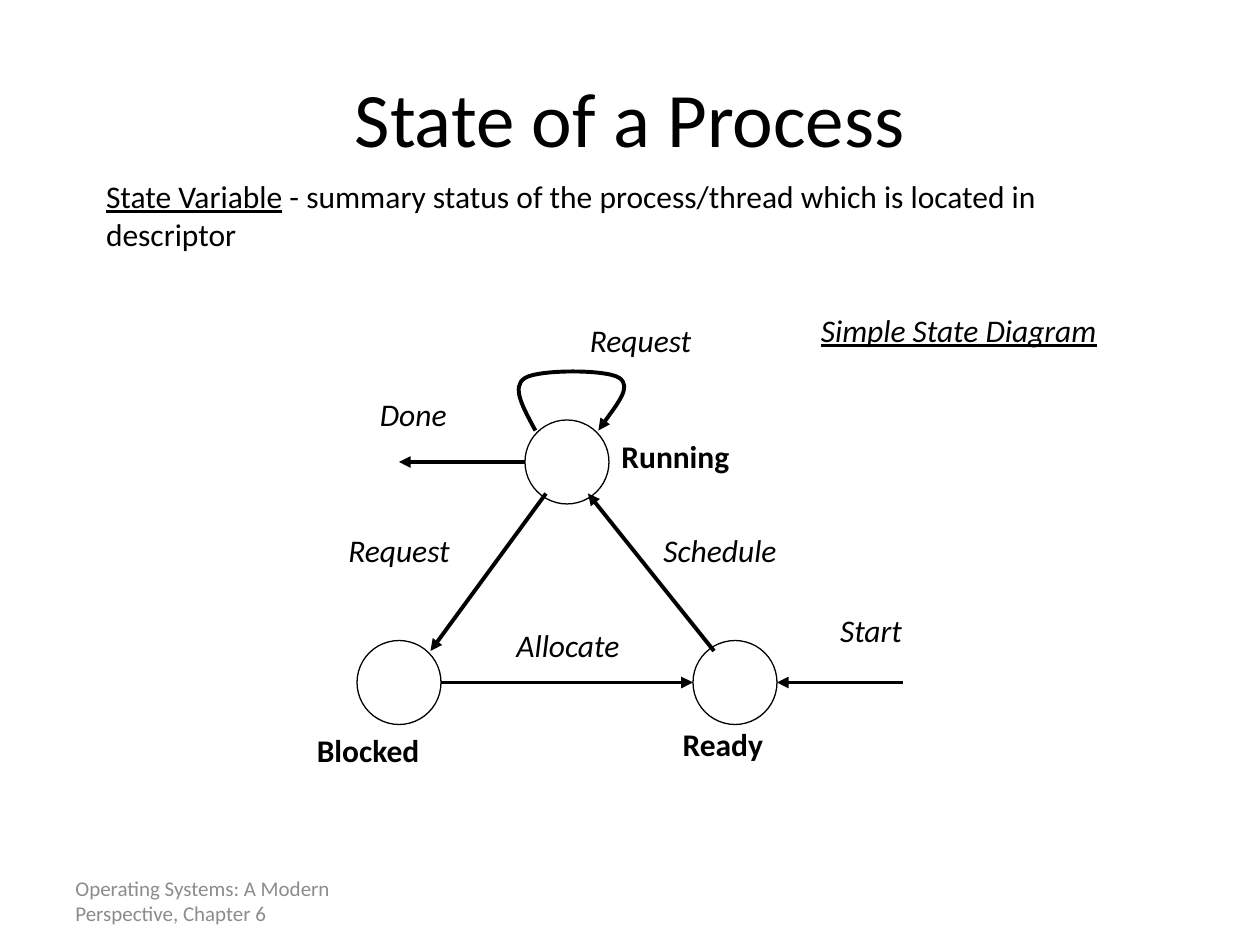
from lxml import etree
from pptx import Presentation
from pptx import util as u
from pptx.dml.color import RGBColor
from pptx.enum import shapes, text
from pptx.oxml import ns

BLACK, WHITE, GRAY = "000000", "FFFFFF", "8C8C8C"
FONT = "Calibri"


def color(value):
    return RGBColor.from_string(value)


def place(shape, left, top, width, height):
    shape.left, shape.top = u.Pt(left), u.Pt(top)
    shape.width, shape.height = u.Pt(width), u.Pt(height)


def style(font, size, hue=BLACK, bold=False, italic=False, underline=False):
    font.name, font.size = FONT, u.Pt(size)
    font.color.rgb = color(hue)
    font.bold, font.italic, font.underline = bold, italic, underline


def add_title(slide, wording):
    title = slide.shapes.title
    place(title, 36, 21.6, 648, 90)
    title.text_frame.vertical_anchor = text.MSO_ANCHOR.MIDDLE
    paragraph = title.text_frame.paragraphs[0]
    paragraph.text = wording
    paragraph.alignment = text.PP_ALIGN.CENTER
    style(paragraph.font, 44)


def add_text(slide, box, wording, size=18, wrap=False, **looks):
    shape = slide.shapes.add_textbox(*map(u.Pt, box))
    frame = shape.text_frame
    frame.word_wrap = wrap
    if not wrap:
        frame.auto_size = text.MSO_AUTO_SIZE.SHAPE_TO_FIT_TEXT
    paragraph = frame.paragraphs[0]
    paragraph.text = wording
    style(paragraph.font, size, **looks)
    return shape


def add_definition(slide, box, term, meaning):
    paragraph = add_text(slide, box, "", wrap=True).text_frame.paragraphs[0]
    for wording, underline in ((term, True), (meaning, False)):
        run = paragraph.add_run()
        run.text = wording
        style(run.font, 18, underline=underline)


def add_state(slide, left, top):
    circle = slide.shapes.add_shape(shapes.MSO_SHAPE.OVAL, *map(u.Pt, (left, top, 48, 48)))
    circle.shadow.inherit = False
    circle.fill.solid()
    circle.fill.fore_color.rgb = color(WHITE)
    circle.line.color.rgb = color(BLACK)
    circle.line.width = u.Pt(0.75)


def format_arrow(line):
    line.color.rgb = color(BLACK)
    line.width = u.Pt(2.25)
    etree.SubElement(line._get_or_add_ln(), ns.qn("a:tailEnd"), type="triangle")


def add_arrow(slide, start, end):
    connector = slide.shapes.add_connector(
        shapes.MSO_CONNECTOR.STRAIGHT, *map(u.Pt, start + end))
    format_arrow(connector.line)
    etree.SubElement(connector._element.spPr, ns.qn("a:effectLst"))


def add_curved_arrow(slide, start, controls):
    builder = slide.shapes.build_freeform(*start, scale=u.Pt(1))
    builder.add_line_segments(controls, close=False)
    curve = builder.convert_to_shape()
    curve.shadow.inherit = False
    curve.fill.background()
    format_arrow(curve.line)
    outline = curve._element.find(".//" + ns.qn("a:path"))
    segments = outline.findall(ns.qn("a:lnTo"))
    for index in range(0, len(segments), 3):
        bezier = etree.SubElement(outline, ns.qn("a:cubicBezTo"))
        for segment in segments[index:index + 3]:
            bezier.append(segment[0])
            outline.remove(segment)


def main():
    presentation = Presentation()
    presentation.slide_width, presentation.slide_height = u.Pt(720), u.Pt(540)
    slide = presentation.slides.add_slide(presentation.slide_layouts[5])

    footer = add_text(slide, (36, 500.5, 168, 28.75),
                      "Operating Systems: A Modern Perspective, Chapter 6",
                      size=12, wrap=True, hue=GRAY)
    footer.text_frame.vertical_anchor = text.MSO_ANCHOR.MIDDLE
    add_title(slide, "State of a Process")
    add_definition(slide, (53.5, 97.5, 600, 93.5), "State Variable",
                   " - summary status of the process/thread which is located in descriptor")

    for left, top in ((300, 240), (396, 366), (204, 366)):
        add_state(slide, left, top)

    for start, end in (
        ((408, 372), (336, 282)),
        ((312, 282), (246, 372)),
        ((252, 390), (396, 390)),
        ((300, 264), (228, 264)),
        ((516, 390), (444, 390)),
    ):
        add_arrow(slide, start, end)

    for wording, left, top, width in (
        ("Ready", 383, 411, 80),
        ("Blocked", 174, 414, 97),
        ("Running", 348, 246, 104),
    ):
        add_text(slide, (left, top, width, 36), wording, bold=True)

    for wording, left, top, width in (
        ("Start", 473, 345.5, 61),
        ("Schedule", 372, 300, 101),
        ("Request", 330, 180, 91),
        ("Done", 210, 222, 66),
        ("Request", 192, 300, 91),
        ("Allocate", 288, 354, 94),
    ):
        add_text(slide, (left, top, width, 36), wording, italic=True)

    add_curved_arrow(slide, (306, 246), (
        (299, 233), (292, 221), (300, 216),
        (308, 211), (347, 211), (354, 216),
        (361, 221), (351, 233), (342, 246),
    ))
    add_text(slide, (462, 174, 227, 36), "Simple State Diagram", italic=True, underline=True)

    presentation.save("out.pptx")


main()
